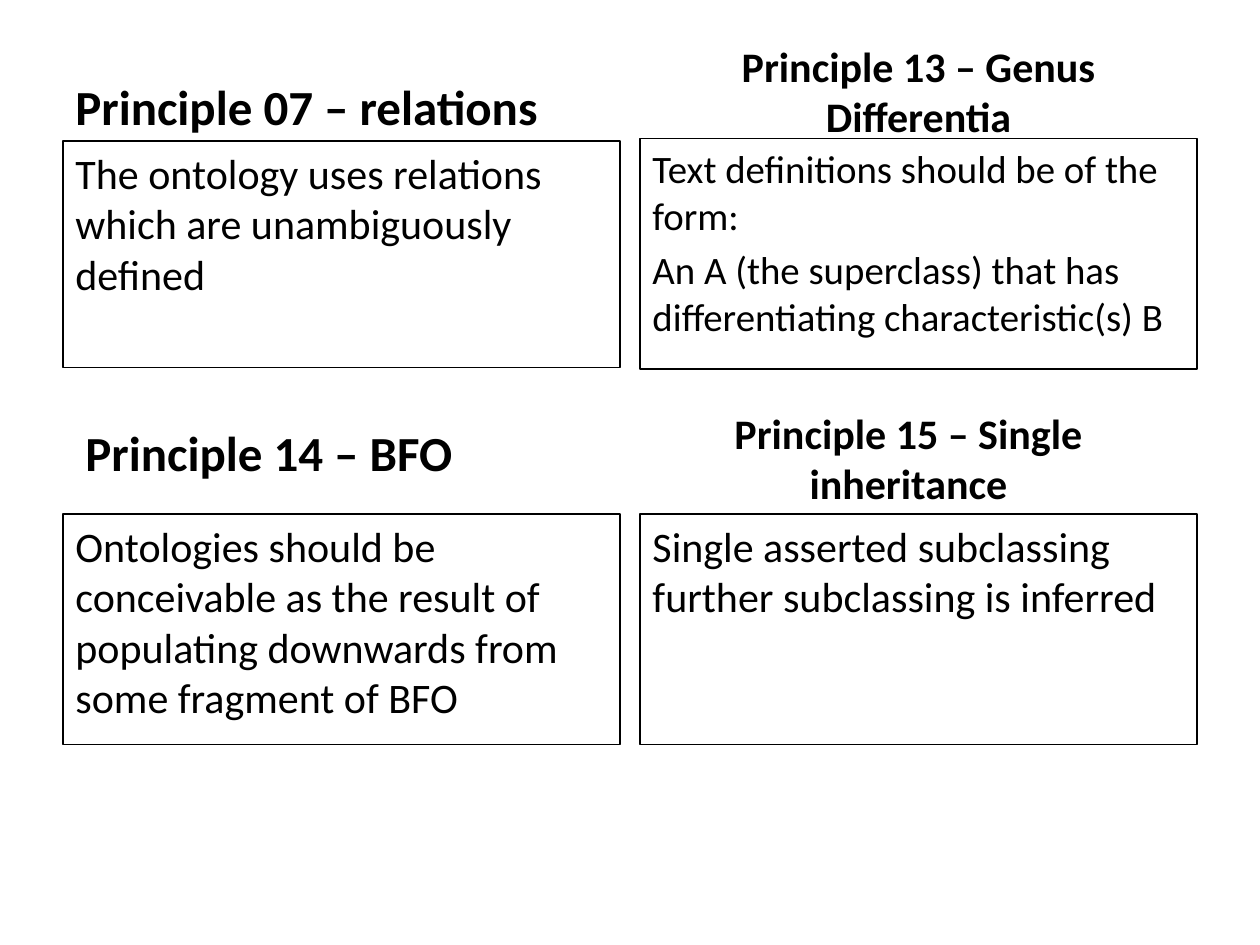
import pptx
import pptx.dml.color
import pptx.enum.shapes
import pptx.enum.text
import pptx.util

Pt = pptx.util.Pt
ALIGN = pptx.enum.text.PP_ALIGN
ANCHOR = pptx.enum.text.MSO_ANCHOR

WIDTH = 318.24
TITLE_HEIGHT = 50.4
LEFT, RIGHT = 36, 365.76


def color(value):
    return pptx.dml.color.RGBColor.from_string(value)


class Sheet:
    """Style of the deck and the slide being filled."""

    font = "Calibri"
    ink = "000000"
    line_width = 0.75
    space_ratio = 0.2

    def __init__(self, deck):
        self.page = deck.slides.add_slide(deck.slide_layouts[6])

    def fill_text(self, shape, paragraphs, size, bold, align, anchor):
        frame = shape.text_frame
        frame.word_wrap = True
        frame.vertical_anchor = anchor
        for index, text in enumerate(paragraphs):
            para = frame.add_paragraph() if index else frame.paragraphs[0]
            para.alignment = align
            para.space_before = Pt(round(size * self.space_ratio, 1))
            span = para.add_run()
            span.text = text
            span.font.color.rgb = color(self.ink)
            formats = {"name": self.font, "size": Pt(size), "bold": bold}
            for name, value in formats.items():
                setattr(span.font, name, value)

    def title(self, left, top, text, size, align):
        box = self.page.shapes.add_textbox(Pt(left), Pt(top), Pt(WIDTH), Pt(TITLE_HEIGHT))
        self.fill_text(box, [text], size, True, align, ANCHOR.BOTTOM)

    def panel(self, left, top, height, paragraphs, size):
        box = self.page.shapes.add_shape(
            pptx.enum.shapes.MSO_SHAPE.RECTANGLE, Pt(left), Pt(top), Pt(WIDTH), Pt(height))
        box.shadow.inherit = False
        box.fill.background()
        box.line.color.rgb = color(self.ink)
        box.line.width = Pt(self.line_width)
        self.fill_text(box, paragraphs, size, False, ALIGN.LEFT, ANCHOR.TOP)


def main():
    deck = pptx.Presentation()
    deck.slide_width, deck.slide_height = Pt(720), Pt(540)
    sheet = Sheet(deck)

    # Principle headings: left, top, text, size, alignment
    for heading in [
        (LEFT, 30.24, "Principle 07 – relations", 28, ALIGN.LEFT),
        (RIGHT, 33.84, "Principle 13 – Genus Differentia", 24, ALIGN.CENTER),
        (41.76, 228.24, "Principle 14 – BFO", 28, ALIGN.LEFT),
        (360, 243.36, "Principle 15 – Single inheritance", 24, ALIGN.CENTER),
    ]:
        sheet.title(*heading)

    # Framed definitions: left, top, height, paragraphs, size
    for definition in [
        (LEFT, 80.64, 129.6,
         ["The ontology uses relations which are unambiguously defined"], 24),
        (RIGHT, 79.2, 131.76,
         ["Text definitions should be of the form:",
          "An A (the superclass) that has differentiating characteristic(s) B"], 22.2),
        (LEFT, 293.76, 131.76,
         ["Ontologies should be conceivable as the result of populating "
          "downwards from some fragment of BFO"], 24),
        (RIGHT, 293.76, 131.76,
         ["Single asserted subclassing further subclassing is inferred"], 24),
    ]:
        sheet.panel(*definition)

    deck.save("out.pptx")


if __name__ == "__main__":
    main()
